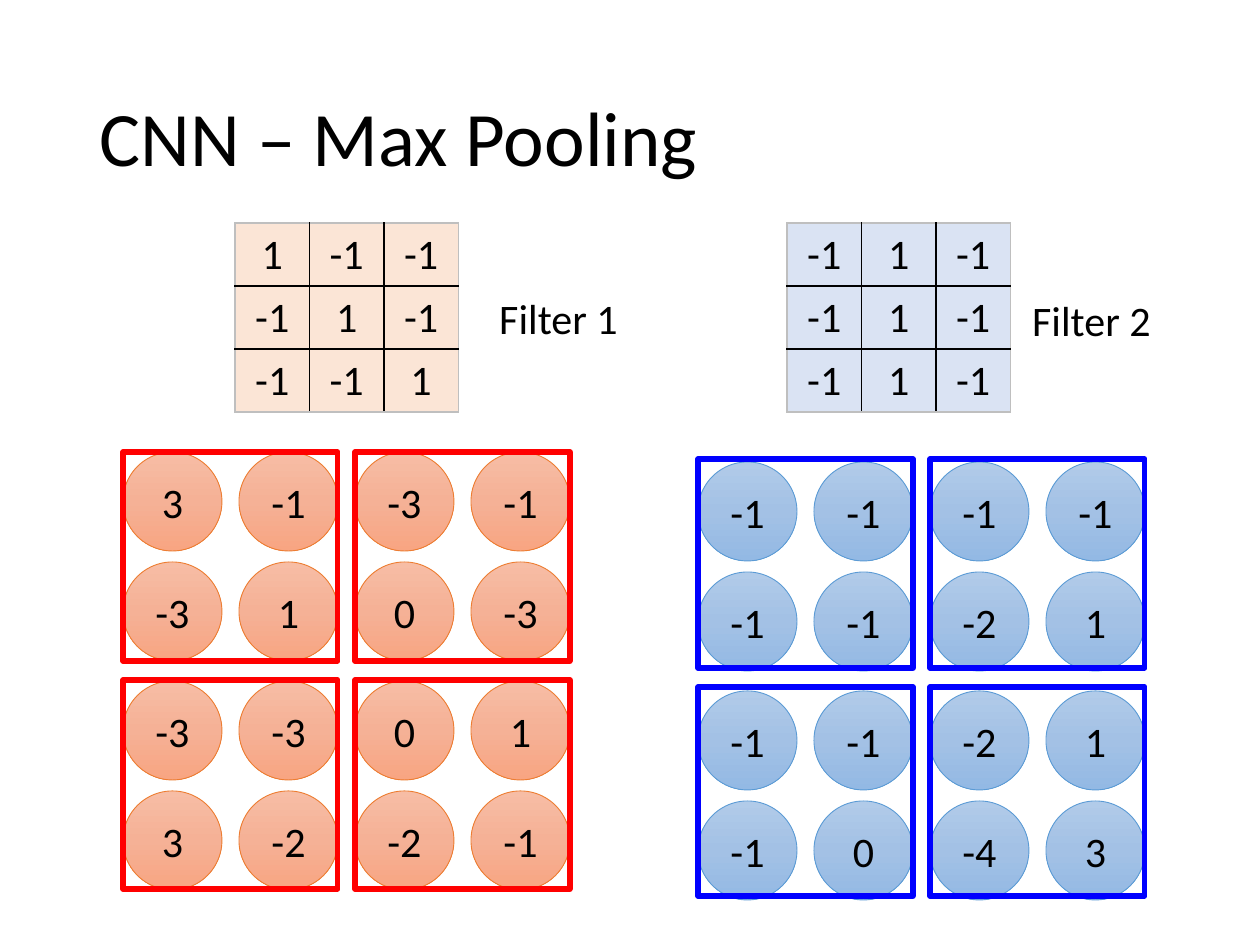
from itertools import product

from lxml.etree import SubElement
from pptx import Presentation
from pptx.dml.color import RGBColor
from pptx.enum.shapes import MSO_SHAPE
from pptx.enum.text import MSO_ANCHOR, PP_ALIGN
from pptx.oxml.ns import qn
from pptx.util import Emu, Pt

PIXEL = 914400 // 126
FONT = "Calibri"
BLACK, GREY = "000000", "BFBFBF"
CELL_WIDTH, CELL_HEIGHT = 74.5, 63
CIRCLE, CIRCLE_STEP_X, CIRCLE_STEP_Y = 99, 116, 110
POOL_WIDTH, POOL_HEIGHT = 215, 209
POOL_STEP_X, POOL_STEP_Y = 232, 229

ORANGE_MAP = {"stops": ("F7BDA5", "F5B196", "F8A582"), "outline": "ED7D31", "frame": "FF0000"}
BLUE_MAP = {"stops": ("B1CBE9", "A3C1E5", "93B9E4"), "outline": "5B9BD5", "frame": "0000FF"}


def px(*values):
    return [Emu(round(value * PIXEL)) for value in values]


def color(hex_value):
    return RGBColor.from_string(hex_value)


def write(text_frame, text, size=24, align=PP_ALIGN.CENTER):
    paragraph = text_frame.paragraphs[0]
    paragraph.alignment = align
    run = paragraph.add_run()
    run.text = text
    run.font.size = Pt(size)
    run.font.name = FONT
    run.font.color.rgb = color(BLACK)
    return paragraph


def add_label(slide, box, text, **style):
    text_frame = slide.shapes.add_textbox(*px(*box)).text_frame
    text_frame.word_wrap = True
    return text_frame, write(text_frame, text, **style)


def add_title(slide, box, text):
    text_frame, paragraph = add_label(slide, box, text, size=44, align=PP_ALIGN.LEFT)
    text_frame.vertical_anchor = MSO_ANCHOR.MIDDLE
    paragraph.line_spacing = 0.9


def set_borders(cell, row, column):
    properties = cell._tc.get_or_add_tcPr()
    edges = {"a:lnL": column == 0, "a:lnR": column == 2, "a:lnT": row == 0, "a:lnB": row == 2}
    for tag, is_outer in edges.items():
        line = SubElement(properties, qn(tag), w=str(Pt(1)))
        fill = SubElement(line, qn("a:solidFill"))
        SubElement(fill, qn("a:srgbClr"), val=GREY if is_outer else BLACK)


def add_filter(slide, left, top, values, fill):
    box = px(left, top, 3 * CELL_WIDTH, 3 * CELL_HEIGHT)
    table = slide.shapes.add_table(3, 3, *box).table
    table.first_row = table.horz_banding = False
    for row, column in product(range(3), repeat=2):
        cell = table.cell(row, column)
        write(cell.text_frame, str(values[row][column]))
        # Borders come before the fill in the cell properties
        set_borders(cell, row, column)
        cell.fill.solid()
        cell.fill.fore_color.rgb = color(fill)


def set_gradient(shape, stops):
    shape.fill.gradient()
    gradient = shape._element.spPr.find(qn("a:gradFill"))
    for child in list(gradient):
        gradient.remove(child)
    stop_list = SubElement(gradient, qn("a:gsLst"))
    for index, stop_color in enumerate(stops):
        stop = SubElement(stop_list, qn("a:gs"), pos=str(index * 50000))
        SubElement(stop, qn("a:srgbClr"), val=stop_color)
    SubElement(gradient, qn("a:lin"), ang="5400000", scaled="0")


def add_shape(slide, kind, box, line_color, line_width):
    shape = slide.shapes.add_shape(kind, *px(*box))
    shape.shadow.inherit = False
    shape.line.color.rgb = color(line_color)
    shape.line.width = Pt(line_width)
    return shape


def add_value(slide, left, top, value, theme):
    circle = add_shape(slide, MSO_SHAPE.OVAL, (left, top, CIRCLE, CIRCLE), theme["outline"], 0.5)
    set_gradient(circle, theme["stops"])
    text_frame = circle.text_frame
    text_frame.margin_left = text_frame.margin_right = 0
    text_frame.vertical_anchor = MSO_ANCHOR.MIDDLE
    write(text_frame, str(value))


def add_feature_map(slide, left, top, values, theme, frame_top):
    # Circles in pairs, two pairs each way
    for row, column in product(range(4), repeat=2):
        y = top + row // 2 * POOL_STEP_Y + row % 2 * CIRCLE_STEP_Y
        add_value(slide, left + column * CIRCLE_STEP_X, y, values[row][column], theme)
    # Pooling windows over each 2 by 2 group
    for row, column in product(range(2), repeat=2):
        box = (left + column * POOL_STEP_X, frame_top + row * (POOL_STEP_Y - 1),
               POOL_WIDTH, POOL_HEIGHT)
        frame = add_shape(slide, MSO_SHAPE.RECTANGLE, box, theme["frame"], 3)
        frame.fill.background()


presentation = Presentation()
presentation.slide_width, presentation.slide_height = px(1260, 945)
slide = presentation.slides.add_slide(presentation.slide_layouts[6])

add_title(slide, (87, 50, 1086, 183), "CNN – Max Pooling")

# Filters
add_filter(slide, 235, 223, [[1, -1, -1], [-1, 1, -1], [-1, -1, 1]], "FBE5D6")
add_label(slide, (459, 286, 199, 63), "Filter 1")
add_filter(slide, 787, 223, [[-1, 1, -1]] * 3, "DAE3F3")
add_label(slide, (992, 288, 199, 63), "Filter 2")

# Feature maps
add_feature_map(slide, 123, 452, [[3, -1, -3, -1], [-3, 1, 0, -3],
                                  [-3, -3, 0, 1], [3, -2, -2, -1]], ORANGE_MAP, 452)
add_feature_map(slide, 698, 462, [[-1, -1, -1, -1], [-1, -1, -2, 1],
                                  [-1, -1, -2, 1], [-1, 0, -4, 3]], BLUE_MAP, 459)

presentation.save("out.pptx")
